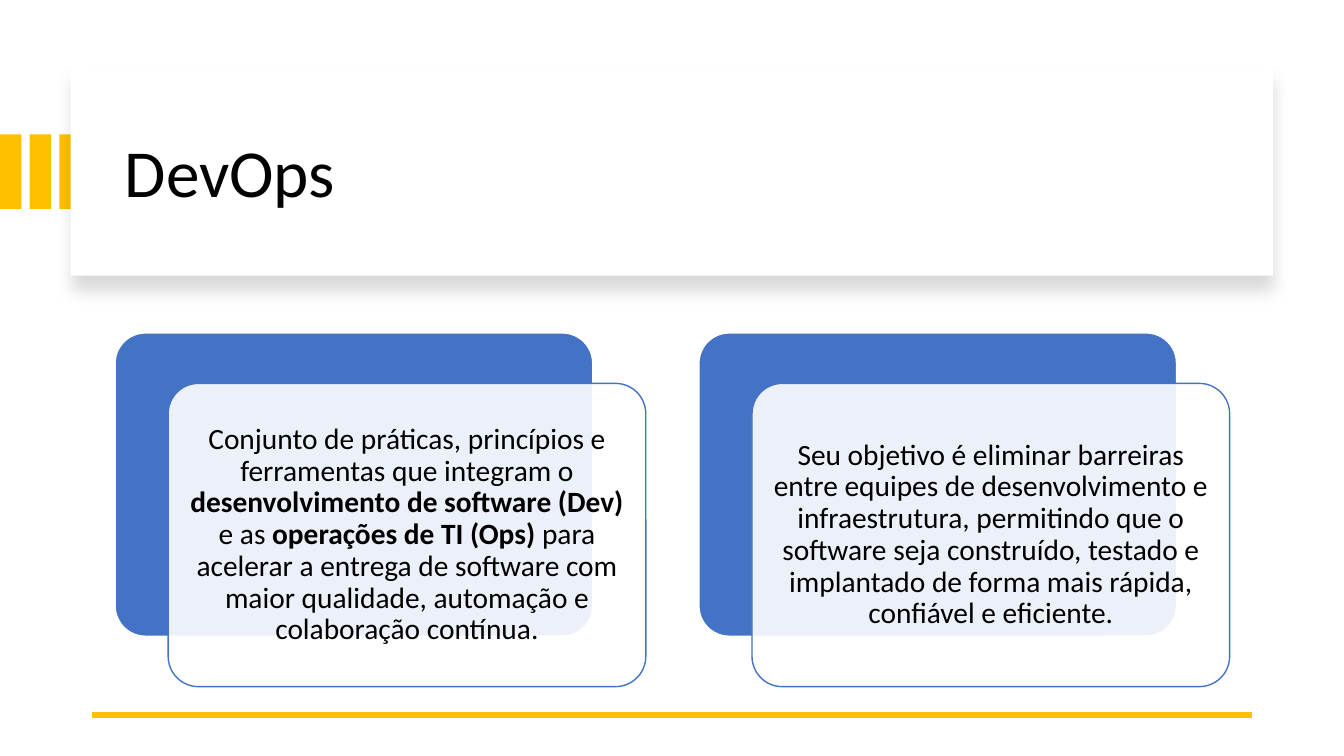
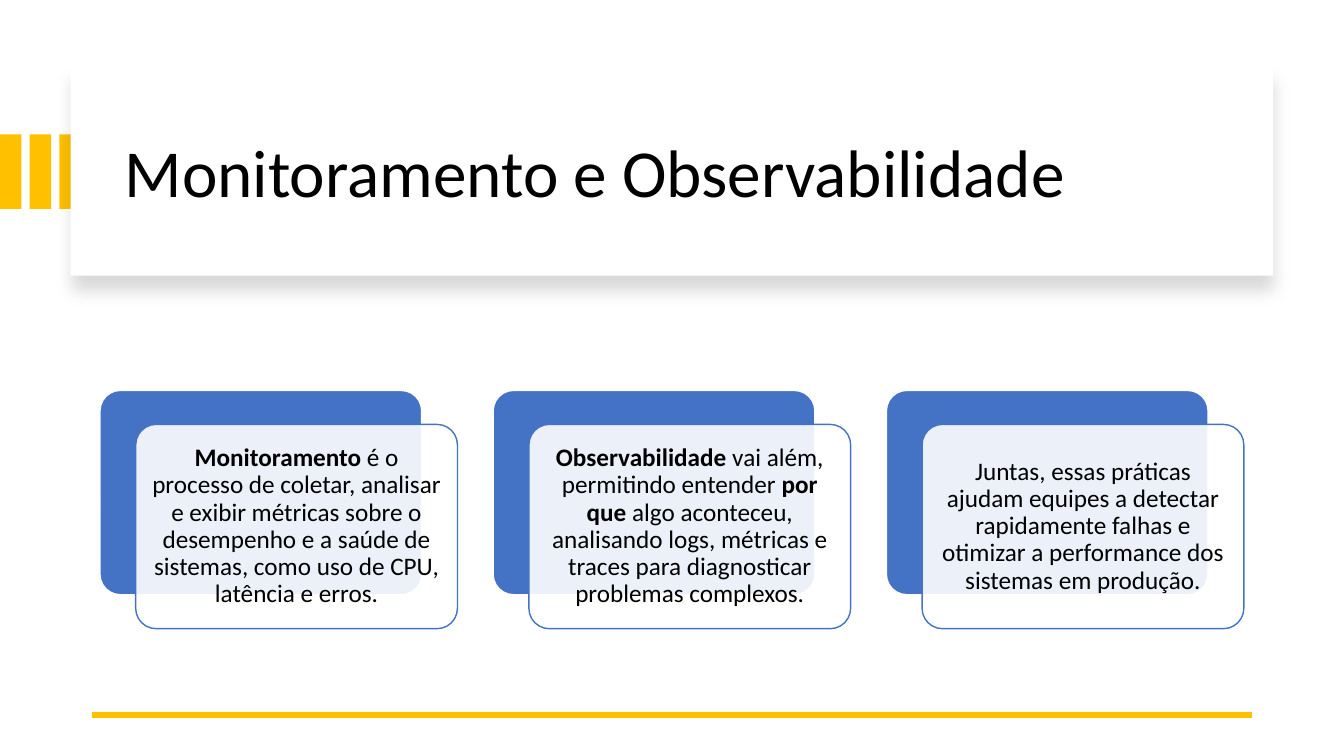
"""Build two slides on DevOps and observability with overlapping cards."""
import lxml.etree
import pptx
import pptx.dml.color
import pptx.enum.shapes
import pptx.enum.text
import pptx.oxml.ns
import pptx.util

Pt = pptx.util.Pt
RGBColor = pptx.dml.color.RGBColor
Shape = pptx.enum.shapes.MSO_SHAPE

AMBER = RGBColor(0xFF, 0xC0, 0x00)
BLUE = RGBColor(0x44, 0x72, 0xC4)
WHITE = RGBColor(0xFF, 0xFF, 0xFF)
BLACK = RGBColor(0x00, 0x00, 0x00)
FONT = "Calibri"


def add_element(parent, tag, **attributes):
    element = lxml.etree.SubElement(parent, pptx.oxml.ns.qn(tag))
    for name, value in attributes.items():
        element.set(name, str(value))
    return element


class Deck:
    def __init__(self):
        self.presentation = pptx.Presentation()
        self.presentation.slide_width = Pt(960)
        self.presentation.slide_height = Pt(540)
        self.slide = None

    def add_slide(self, title):
        self.slide = self.presentation.slides.add_slide(self.presentation.slide_layouts[6])
        for index in range(3):
            self.add_box(Shape.RECTANGLE, 21.2 * index, 96, 15.3, 53.3, AMBER)
        panel = self.add_box(Shape.RECTANGLE, 50.4, 48, 859, 149, WHITE)
        self.add_soft_shadow(panel)
        self.add_title(title)
        self.add_rule()

    def add_box(self, kind, left, top, width, height, fill, line=None):
        shape = self.slide.shapes.add_shape(kind, Pt(left), Pt(top), Pt(width), Pt(height))
        shape.shadow.inherit = False
        shape.fill.solid()
        shape.fill.fore_color.rgb = fill
        if line is None:
            shape.line.fill.background()
        else:
            shape.line.color.rgb = line
            shape.line.width = Pt(1)
        return shape

    def add_soft_shadow(self, shape):
        effects = shape._element.spPr.find(pptx.oxml.ns.qn("a:effectLst"))
        shadow = add_element(effects, "a:outerShdw", blurRad=Pt(11), dist=Pt(10),
                             dir=5400000, algn="t", rotWithShape=0)
        color = add_element(shadow, "a:srgbClr", val=BLACK)
        add_element(color, "a:alpha", val=15000)

    def add_title(self, text):
        box = self.slide.shapes.add_textbox(Pt(82), Pt(64), Pt(801), Pt(122.5))
        self.add_text(box.text_frame, [(text, False)], 48, pptx.enum.text.PP_ALIGN.LEFT)

    def add_rule(self):
        rule = self.slide.shapes.add_connector(
            pptx.enum.shapes.MSO_CONNECTOR.STRAIGHT, Pt(894), Pt(510.5), Pt(66), Pt(510.5))
        rule.line.color.rgb = AMBER
        rule.line.width = Pt(4.5)
        add_element(rule._element.spPr, "a:effectLst")

    def add_text(self, frame, runs, size, alignment):
        frame.word_wrap = True
        frame.vertical_anchor = pptx.enum.text.MSO_ANCHOR.MIDDLE
        paragraph = frame.paragraphs[0]
        paragraph.alignment = alignment
        paragraph.line_spacing = 0.9
        for text, bold in runs:
            run = paragraph.add_run()
            run.text = text
            run.font.name = FONT
            run.font.size = Pt(size)
            run.font.bold = bold
            run.font.color.rgb = BLACK

    def add_card(self, left, top, width, runs, size, inset):
        height = width * 0.635
        back = self.add_box(Shape.ROUNDED_RECTANGLE, left, top, width, height, BLUE, WHITE)
        front = self.add_box(Shape.ROUNDED_RECTANGLE, left + width / 9,
                             top + width * 0.1056, width, height, WHITE, BLUE)
        for shape in (back, front):
            shape.adjustments[0] = 0.1
        color = front._element.spPr.find(".//" + pptx.oxml.ns.qn("a:srgbClr"))
        add_element(color, "a:alpha", val=90000)
        frame = front.text_frame
        frame.margin_left = frame.margin_right = Pt(inset)
        frame.margin_top = frame.margin_bottom = Pt(inset)
        self.add_text(frame, runs, size, pptx.enum.text.PP_ALIGN.CENTER)

    def add_cards(self, left, top, width, size, inset, cards):
        pitch = width * 11 / 9
        for index, runs in enumerate(cards):
            self.add_card(left + index * pitch, top, width, runs, size, inset)


def main():
    deck = Deck()
    deck.add_slide("DevOps")
    deck.add_cards(82.2, 237.8, 341.2, 21, 6.3, [
        [("Conjunto de práticas, princípios e ferramentas que integram o ", False),
         ("desenvolvimento de software (Dev)", True),
         (" e as ", False),
         ("operações de TI (Ops)", True),
         (" para acelerar a entrega de software com maior qualidade, "
          "automação e colaboração contínua.", False)],
        [("Seu objetivo é eliminar barreiras entre equipes de desenvolvimento e "
          "infraestrutura, permitindo que o software seja construído, testado e "
          "implantado de forma mais rápida, confiável e eficiente.", False)],
    ])
    deck.add_slide("Monitoramento e Observabilidade")
    deck.add_cards(71.4, 278.9, 229.8, 18, 5.4, [
        [("Monitoramento", True),
         (" é o processo de coletar, analisar e exibir métricas sobre o desempenho "
          "e a saúde de sistemas, como uso de CPU, latência e erros.", False)],
        [("Observabilidade", True),
         (" vai além, permitindo entender ", False),
         ("por que", True),
         (" algo aconteceu, analisando logs, métricas e traces para diagnosticar "
          "problemas complexos.", False)],
        [("Juntas, essas práticas ajudam equipes a detectar rapidamente falhas e "
          "otimizar a performance dos sistemas em produção.", False)],
    ])
    deck.presentation.save("out.pptx")


if __name__ == "__main__":
    main()
